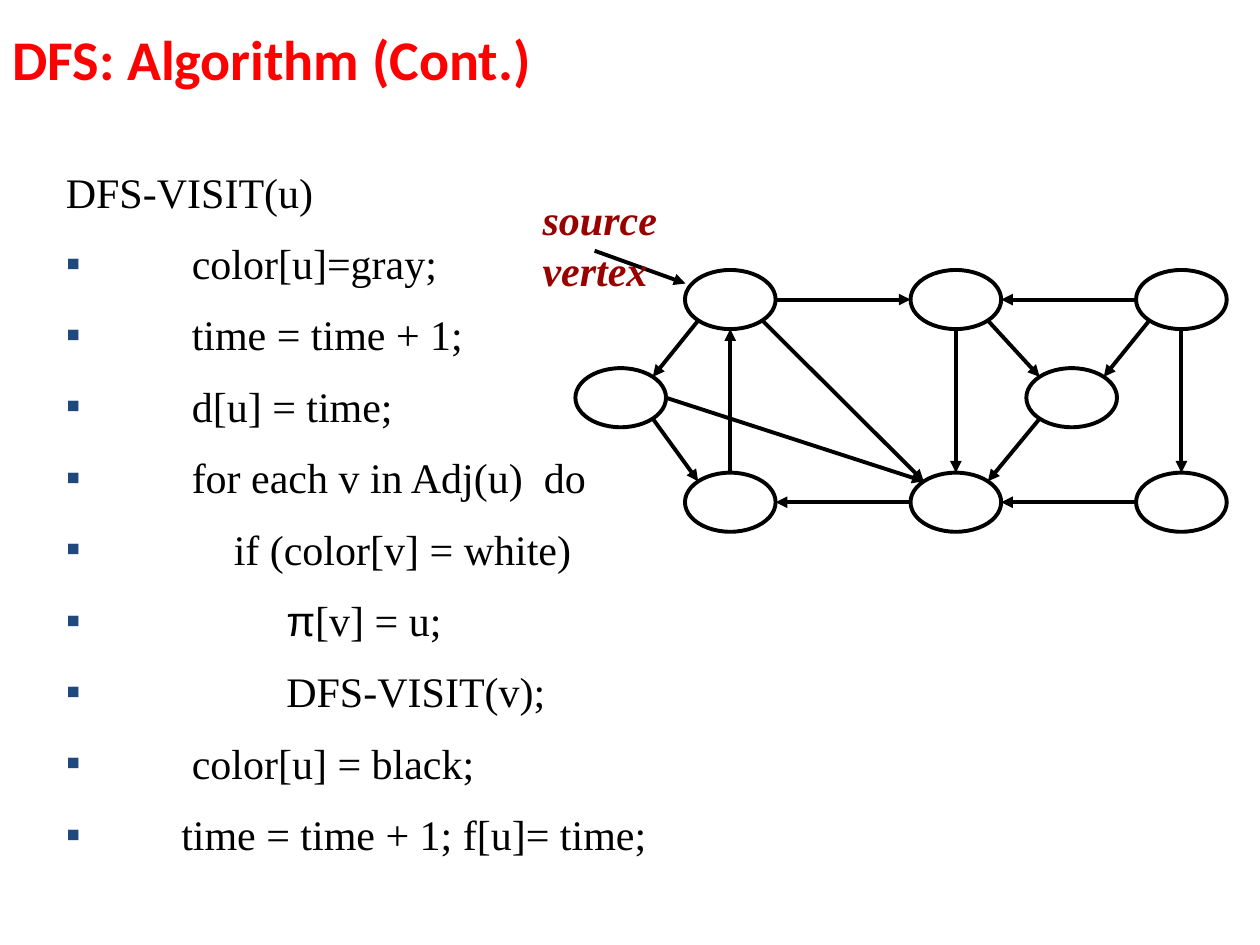
from math import sqrt
from lxml.etree import SubElement
from pptx import Presentation
from pptx.dml.color import RGBColor
from pptx.enum.shapes import MSO_CONNECTOR, MSO_SHAPE
from pptx.enum.text import MSO_ANCHOR
from pptx.oxml.ns import qn
from pptx.util import Pt


def write(text, box, font="Times New Roman", size=24, color="000000", bold=False,
          italic=False, anchor=MSO_ANCHOR.TOP, wrap=True, gap=0):
    """Add a text box; each item of text is (indent, runs), a run being (words, font).

    A paragraph with an indent gets a square bullet at the left edge.
    """
    frame = slide.shapes.add_textbox(*map(Pt, box)).text_frame
    frame.word_wrap, frame.vertical_anchor = wrap, anchor
    for i, (indent, runs) in enumerate(text):
        para = frame.paragraphs[0] if i == 0 else frame.add_paragraph()
        para.space_before = Pt(gap)
        if indent:
            props = para._p.get_or_add_pPr()
            props.set("marL", str(Pt(indent)))
            props.set("indent", str(-Pt(indent)))
            tint = SubElement(props, qn("a:buClr"))
            SubElement(tint, qn("a:srgbClr"), val="1F497D")
            SubElement(props, qn("a:buFont"), typeface="Arial")
            SubElement(props, qn("a:buChar"), char="▪")
        for words, face in runs:
            run = para.add_run()
            run.text = words
            run.font.name, run.font.size = face or font, Pt(size)
            run.font.bold, run.font.italic = bold, italic
            run.font.color.rgb = RGBColor.from_string(color)


def arrow(start, end):
    link = slide.shapes.add_connector(MSO_CONNECTOR.STRAIGHT, *map(Pt, start + end))
    link.line.color.rgb = RGBColor.from_string("000000")
    link.line.width = Pt(2.25)
    SubElement(link.line._get_or_add_ln(), qn("a:tailEnd"), type="triangle")
    SubElement(link._element.spPr, qn("a:effectLst"))


deck = Presentation()
deck.slide_width, deck.slide_height = Pt(720), Pt(540)
slide = deck.slides.add_slide(deck.slide_layouts[6])

# Pseudocode: left indent and words of each step
steps = [
    (0, "DFS-VISIT(u)"),
    (72, "color[u]=gray;"),
    (72, "time = time + 1;"),
    (72, "d[u] = time;"),
    (72, "for each v in Adj(u)  do"),
    (96, "if (color[v] = white)"),
    (126, "π[v] = u;"),
    (126, "DFS-VISIT(v);"),
    (72, "color[u] = black;"),
    (66, "time = time + 1; f[u]= time;"),
]
code = []
for indent, words in steps:
    runs = [(words, None)]
    if words.startswith("π"):
        runs = [("π", "Arial"), (words[1:], None)]
    code.append((indent, runs))
write(code, (30.5, 91.4, 600, 424), gap=12)
write([(0, [("DFS: Algorithm (Cont.)", None)])], (0, 0, 612, 66.2), font="Calibri",
      size=32, color="FF0000", bold=True, anchor=MSO_ANCHOR.MIDDLE)

# Graph: centres of the nodes
WIDE, HIGH = 51.8, 33.8
nodes = {"left": (354.7, 227.3), "right": (612.4, 227.3)}
for i in range(3):
    nodes[f"top{i}"] = (417.3 + 128.9 * i, 171.2)
    nodes[f"low{i}"] = (417.3 + 128.9 * i, 287)
for x, y in nodes.values():
    oval = slide.shapes.add_shape(
        MSO_SHAPE.OVAL, *map(Pt, (x - WIDE / 2, y - HIGH / 2, WIDE, HIGH)))
    oval.shadow.inherit = False
    oval.fill.background()
    oval.line.color.rgb = RGBColor.from_string("000000")
    oval.line.width = Pt(2.25)

# Edges: node and compass point at each end
d = sqrt(0.5)
sides = {"n": (0, -1), "s": (0, 1), "w": (-1, 0), "e": (1, 0),
         "nw": (-d, -d), "ne": (d, -d), "sw": (-d, d), "se": (d, d)}
edges = [
    ("top0", "sw", "left", "ne"), ("left", "se", "low0", "nw"),
    ("left", "e", "low1", "nw"), ("low1", "w", "low0", "e"),
    ("low0", "n", "top0", "s"), ("top0", "se", "low1", "nw"),
    ("top1", "s", "low1", "n"), ("top0", "e", "top1", "w"),
    ("top2", "w", "top1", "e"), ("top1", "se", "right", "nw"),
    ("top2", "sw", "right", "ne"), ("top2", "s", "low2", "n"),
    ("low2", "w", "low1", "e"), ("right", "sw", "low1", "ne"),
]
for edge in edges:
    ends = []
    for name, side in (edge[:2], edge[2:]):
        (x, y), (h, v) = nodes[name], sides[side]
        ends.append((x + h * WIDE / 2, y + v * HIGH / 2))
    arrow(*ends)

arrow((339.8, 143.3), (391.7, 162))
write([(0, [(word, None)]) for word in ("source", "vertex")], (303, 107.3, 80, 64.8),
      color="990000", bold=True, italic=True, wrap=False)

deck.save("out.pptx")
